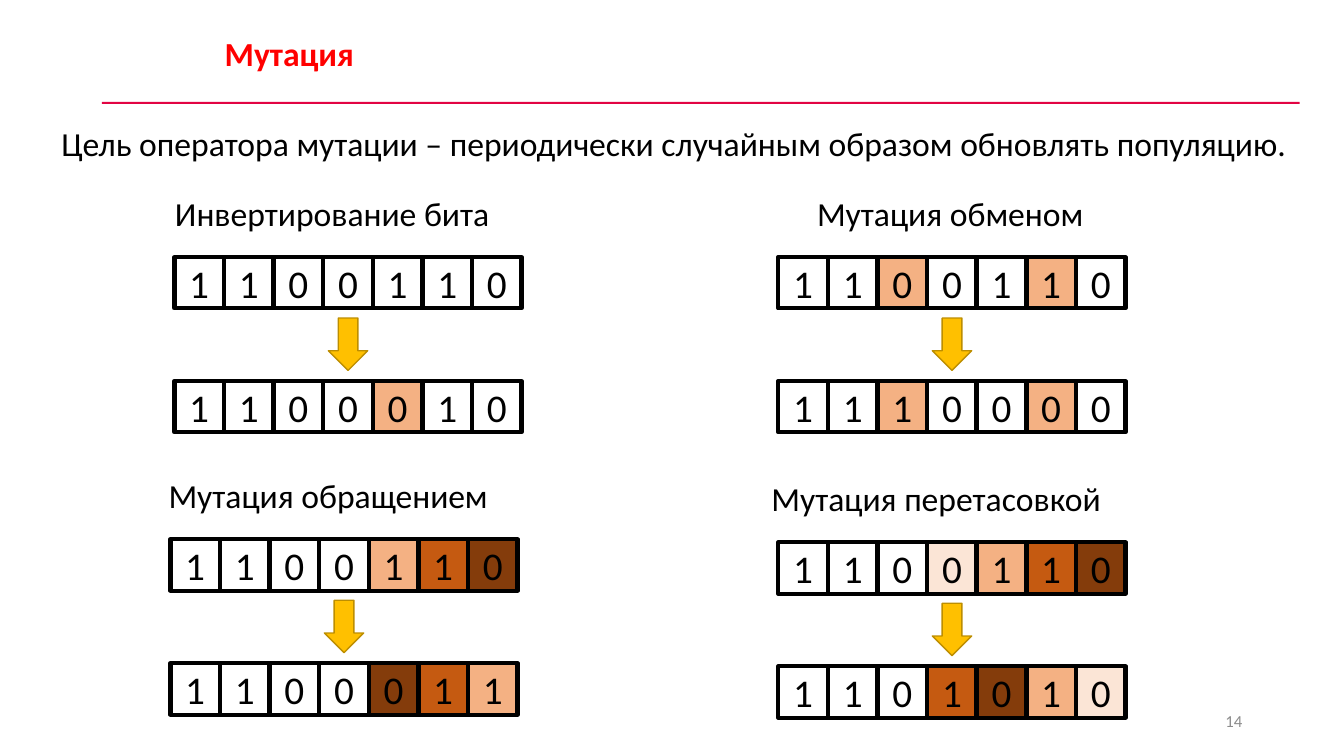
from pptx import Presentation
from pptx.dml.color import RGBColor
from pptx.enum.shapes import MSO_SHAPE
from pptx.enum.text import MSO_ANCHOR, PP_ALIGN
from pptx.util import Inches, Pt

RECTANGLE = MSO_SHAPE.RECTANGLE
RIGHT_ARROW = MSO_SHAPE.RIGHT_ARROW
MIDDLE = MSO_ANCHOR.MIDDLE
TOP = MSO_ANCHOR.TOP
LEFT, CENTER, RIGHT, JUSTIFY = (
    PP_ALIGN.LEFT, PP_ALIGN.CENTER, PP_ALIGN.RIGHT, PP_ALIGN.JUSTIFY)

FONT = "Calibri"
BLACK = RGBColor(0x00, 0x00, 0x00)
WHITE = RGBColor(0xFF, 0xFF, 0xFF)
RED = RGBColor(0xFF, 0x00, 0x00)
CRIMSON = RGBColor(0xE2, 0x04, 0x43)
GRAY = RGBColor(0x8C, 0x8C, 0x8C)
GOLD = RGBColor(0xFF, 0xC0, 0x00)
DARK_GOLD = RGBColor(0xBD, 0x8E, 0x00)
CREAM = RGBColor(0xFB, 0xE5, 0xD6)
PEACH = RGBColor(0xF4, 0xB1, 0x83)
ORANGE = RGBColor(0xC5, 0x5A, 0x11)
BROWN = RGBColor(0x84, 0x3C, 0x0B)

GENE_WIDTH, GENE_HEIGHT, GENE_STEP = 0.49, 0.51, 0.492
ARROW_LENGTH, ARROW_WIDTH = 0.52, 0.39
LABEL_RISE, ARROW_DROP, RESULT_DROP = 0.69, 0.67, 1.23

# Label, label left, row left, row top, genes before and after,
# and the fills of highlighted genes by index before and after
MUTATIONS = [
    ("Инвертирование бита", 1.33, 1.73, 2.55,
     "1100110", {}, "1100010", {4: PEACH}),
    ("Мутация обменом", 7.46, 7.72, 2.55,
     "1100110", {2: PEACH, 5: PEACH}, "1110000", {2: PEACH, 5: PEACH}),
    ("Мутация обращением", 1.29, 1.69, 5.35,
     "1100110", {4: PEACH, 5: ORANGE, 6: BROWN},
     "1100011", {4: BROWN, 5: ORANGE, 6: PEACH}),
    ("Мутация перетасовкой", 7.32, 7.72, 5.38,
     "1100110", {3: CREAM, 4: PEACH, 5: ORANGE, 6: BROWN},
     "1101010", {3: ORANGE, 4: BROWN, 5: PEACH, 6: CREAM}),
]


def write(shape, text, size, color, align, anchor, bold=False):
    frame = shape.text_frame
    frame.word_wrap = True
    frame.vertical_anchor = anchor
    paragraph = frame.paragraphs[0]
    paragraph.alignment = align
    run = paragraph.add_run()
    run.text = text
    run.font.name = FONT
    run.font.size = Pt(size)
    run.font.bold = bold
    run.font.color.rgb = color


def add_text(slide, box, text, size=24, color=BLACK, align=LEFT, anchor=TOP, bold=False):
    shape = slide.shapes.add_textbox(*map(Inches, box))
    write(shape, text, size, color, align, anchor, bold)


def add_figure(slide, kind, box, fill, line=None, line_width=1):
    shape = slide.shapes.add_shape(kind, *map(Inches, box))
    shape.shadow.inherit = False
    shape.fill.solid()
    shape.fill.fore_color.rgb = fill
    if line is None:
        shape.line.fill.background()
    else:
        shape.line.color.rgb = line
        shape.line.width = Pt(line_width)
    return shape


def add_chromosome(slide, left, top, genes, fills):
    for index, gene in enumerate(genes):
        box = (left + index * GENE_STEP, top, GENE_WIDTH, GENE_HEIGHT)
        cell = add_figure(slide, RECTANGLE, box, fills.get(index, WHITE), BLACK, 3)
        write(cell, gene, 28, BLACK, CENTER, MIDDLE)


def add_mutation(slide, label, label_left, left, top, before, before_fills, after, after_fills):
    """Draw a labelled chromosome, a down arrow and the mutated chromosome."""
    add_chromosome(slide, left, top, before, before_fills)
    add_chromosome(slide, left, top + RESULT_DROP, after, after_fills)
    row_width = len(before) * GENE_STEP
    arrow_left = left + (row_width - ARROW_LENGTH) / 2
    arrow_box = (arrow_left, top + ARROW_DROP, ARROW_LENGTH, ARROW_WIDTH)
    arrow = add_figure(slide, RIGHT_ARROW, arrow_box, GOLD, DARK_GOLD)
    arrow.rotation = 90
    add_text(slide, (label_left, top - LABEL_RISE, 3.93, 0.5), label, align=CENTER)


def main():
    presentation = Presentation()
    presentation.slide_width = Inches(13.33)
    presentation.slide_height = Inches(7.5)
    slide = presentation.slides.add_slide(presentation.slide_layouts[6])

    add_figure(slide, RECTANGLE, (1.01, 1.01, 11.88, 0.02), CRIMSON)
    add_text(slide, (2.13, 0.28, 9.23, 0.5), "Мутация", color=RED, bold=True)
    add_text(slide, (9.42, 6.95, 3, 0.4), "14", 12, GRAY, RIGHT, MIDDLE)
    add_text(slide, (0.51, 1.17, 12.38, 0.5),
             "Цель оператора мутации – периодически случайным образом обновлять популяцию.",
             align=JUSTIFY)
    for mutation in MUTATIONS:
        add_mutation(slide, *mutation)

    presentation.save("out.pptx")


if __name__ == "__main__":
    main()
